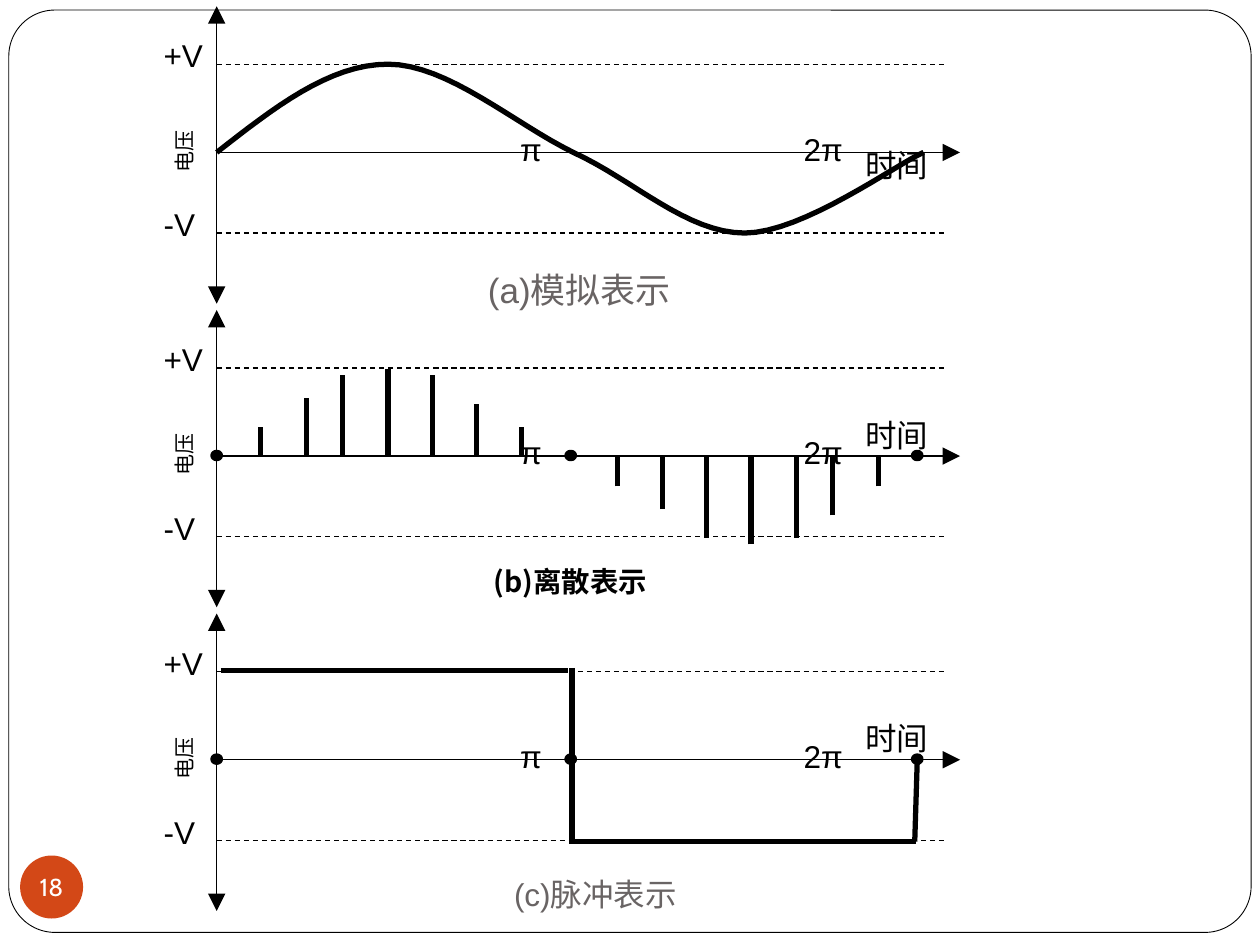
from lxml.etree import SubElement
from pptx import Presentation
from pptx.dml.color import RGBColor
from pptx.enum.dml import MSO_LINE
from pptx.enum.shapes import MSO_CONNECTOR, MSO_SHAPE
from pptx.enum.text import MSO_ANCHOR, MSO_AUTO_SIZE, PP_ALIGN
from pptx.oxml.ns import qn
from pptx.util import Inches, Pt

BLACK, WHITE, GREY, ORANGE = "000000", "FFFFFF", "696464", "D34817"
THIN, THICK = 0.75, 3

# Three stacked plots share the time columns; each is placed by its time axis.
FIRST_AXIS, PLOT_STEP = 1.21, 2.41
ORIGIN, HALF_PERIOD, PERIOD = 1.72, 4.53, 7.28
DASH_END, AXIS_END = 7.5, 7.62
TOP, PLUS, MINUS, BOTTOM = -1.16, -0.7, 0.64, 1.2

# Bezier pieces of the analog wave: controls and end, relative to the axis.
WAVE = [
    [(2.17, -0.35), (2.61, -0.7), (3.08, -0.7)],
    [(3.55, -0.7), (4.08, -0.23), (4.55, 0)],
    [(5.03, 0.22), (5.45, 0.64), (5.91, 0.64)],
    [(6.37, 0.64), (7.12, 0.09), (7.33, 0)],
]
SAMPLES = [
    (2.07, -0.23), (2.43, -0.46), (2.72, -0.64), (3.08, -0.69), (3.43, -0.64),
    (3.78, -0.41), (4.14, -0.23), (4.9, 0.24), (5.26, 0.42), (5.61, 0.65),
    (5.96, 0.7), (6.32, 0.65), (6.61, 0.47), (6.97, 0.24),
]
PULSE = [
    ((1.75, -0.71), (4.51, -0.71)),
    ((4.54, -0.73), (4.54, 0.65)),
    ((4.52, 0.65), (7.27, 0.65)),
    ((7.26, 0.65), (PERIOD, 0)),
]


def color(hex_string):
    return RGBColor.from_string(hex_string)


def add_line(shapes, start, end, width=THIN, dashed=False, arrows=()):
    """Arrows names the ends to point: headEnd at start, tailEnd at end."""
    points = [Inches(value) for value in (*start, *end)]
    line = shapes.add_connector(MSO_CONNECTOR.STRAIGHT, *points)
    line.line.color.rgb = color(BLACK)
    line.line.width = Pt(width)
    if dashed:
        line.line.dash_style = MSO_LINE.DASH
    properties = line.line._get_or_add_ln()
    for arrow in arrows:
        SubElement(properties, qn(f"a:{arrow}"), type="triangle", w="lg", len="lg")
    SubElement(line._element.spPr, qn("a:effectLst"))


def add_preset(shapes, kind, place, fill, line_width=None):
    shape = shapes.add_shape(kind, *[Inches(value) for value in place])
    shape.shadow.inherit = False
    shape.fill.solid()
    shape.fill.fore_color.rgb = color(fill)
    if line_width is None:
        shape.line.fill.background()
    else:
        shape.line.color.rgb = color(BLACK)
        shape.line.width = Pt(line_width)
    return shape


def write(shape, text, size, font="Arial", ink=BLACK, bold=False,
          align=PP_ALIGN.LEFT, anchor=MSO_ANCHOR.TOP):
    frame = shape.text_frame
    frame.word_wrap = True
    frame.auto_size = MSO_AUTO_SIZE.NONE
    frame.vertical_anchor = anchor
    para = frame.paragraphs[0]
    para.alignment = align
    span = para.add_run()
    span.text = text
    span.font.name = font
    span.font.size = Pt(size)
    span.font.bold = bold
    span.font.color.rgb = color(ink)
    return frame


def add_label(shapes, text, left, top, width=1.51, height=0.4, size=18, **style):
    box = shapes.add_textbox(*[Inches(value) for value in (left, top, width, height)])
    write(box, text, size, **style)
    return box


def add_axes(shapes, axis, time_label_offset):
    add_line(shapes, (ORIGIN, axis + TOP), (ORIGIN, axis + BOTTOM),
             arrows=("headEnd", "tailEnd"))
    add_line(shapes, (ORIGIN, axis), (AXIS_END, axis), arrows=("tailEnd",))
    for level, text in ((PLUS, "+V"), (MINUS, "-V")):
        add_line(shapes, (ORIGIN, axis + level), (DASH_END, axis + level), dashed=True)
        add_label(shapes, text, 1.2, axis + level - 0.27)
    voltage = add_label(shapes, "电压", 1.19, axis - 0.17, 0.55, 0.3, size=12)
    voltage.rotation = 270
    add_label(shapes, "π", 4.03, axis - 0.23)
    add_label(shapes, "2π", 6.28, axis - 0.23)
    add_label(shapes, "时间", 6.77, axis + time_label_offset)


def bezier_points(start, pieces, steps=16):
    for first, second, end in pieces:
        for step in range(1, steps + 1):
            t = step / steps
            weights = ((1 - t) ** 3, 3 * t * (1 - t) ** 2, 3 * t * t * (1 - t), t ** 3)
            corners = (start, first, second, end)
            yield tuple(sum(w * corner[i] for w, corner in zip(weights, corners))
                        for i in (0, 1))
        start = end


def add_wave(shapes, axis):
    builder = shapes.build_freeform(Inches(ORIGIN), Inches(axis))
    points = bezier_points((ORIGIN, 0), WAVE)
    builder.add_line_segments([(Inches(x), Inches(axis + y)) for x, y in points],
                              close=False)
    wave = builder.convert_to_shape()
    wave.shadow.inherit = False
    wave.fill.background()
    wave.line.color.rgb = color(BLACK)
    wave.line.width = Pt(THICK)


def add_samples(shapes, axis):
    for x, height in SAMPLES:
        add_line(shapes, (x, axis + height), (x, axis), THICK)
    add_zero_dots(shapes, axis)


def add_pulse(shapes, axis):
    for (x1, y1), (x2, y2) in PULSE:
        add_line(shapes, (x1, axis + y1), (x2, axis + y2), THICK)
    add_zero_dots(shapes, axis)


def add_zero_dots(shapes, axis):
    for x in (ORIGIN, HALF_PERIOD, PERIOD):
        add_preset(shapes, MSO_SHAPE.OVAL, (x - 0.03, axis - 0.03, 0.06, 0.05),
                   BLACK, THICK)


def add_frame(page):
    frame = add_preset(page.shapes, MSO_SHAPE.ROUNDED_RECTANGLE,
                       (0.07, 0.08, 9.86, 7.32), WHITE, 0.5)
    frame.adjustments[0] = 0.05
    page.shapes._spTree.insert(2, frame._element)  # behind the title


def set_title(page, text):
    title = page.shapes.title
    title.left, title.top = Inches(3.82), Inches(4.46)
    title.width, title.height = Inches(1.65), Inches(0.39)
    frame = write(title, text, 16.2, "Noto Sans CJK JP", bold=True,
                  anchor=MSO_ANCHOR.BOTTOM)
    frame.margin_bottom = Inches(0.1)


def add_page_number(page, number):
    badge = add_preset(page.shapes, MSO_SHAPE.OVAL, (0.16, 6.79, 0.5, 0.5), ORANGE)
    frame = write(badge, number, 14, "Cabin", WHITE, align=PP_ALIGN.CENTER,
                  anchor=MSO_ANCHOR.MIDDLE)
    frame.word_wrap = False
    frame.margin_left = frame.margin_right = 0
    frame.margin_top = frame.margin_bottom = 0


def main():
    deck = Presentation()
    deck.slide_width, deck.slide_height = Inches(10), Inches(7.5)
    page = deck.slides.add_slide(deck.slide_layouts[5])
    add_frame(page)
    set_title(page, "(b)离散表示")
    add_page_number(page, "18")
    plots = ((add_wave, -0.1), (add_samples, -0.37), (add_pulse, -0.37))
    for row, (add_signal, time_label_offset) in enumerate(plots):
        axis = FIRST_AXIS + row * PLOT_STEP
        shapes = page.shapes.add_group_shape().shapes
        add_axes(shapes, axis, time_label_offset)
        add_signal(shapes, axis)
    caption = {"ink": GREY, "align": PP_ALIGN.CENTER, "anchor": MSO_ANCHOR.MIDDLE}
    add_label(page.shapes, "(a)模拟表示", 3.5, 2.1, 2.2, 0.39, size=20, **caption)
    add_label(page.shapes, "(c)脉冲表示", 3.9, 6.9, 1.65, 0.39, **caption)
    deck.save("out.pptx")


if __name__ == "__main__":
    main()
